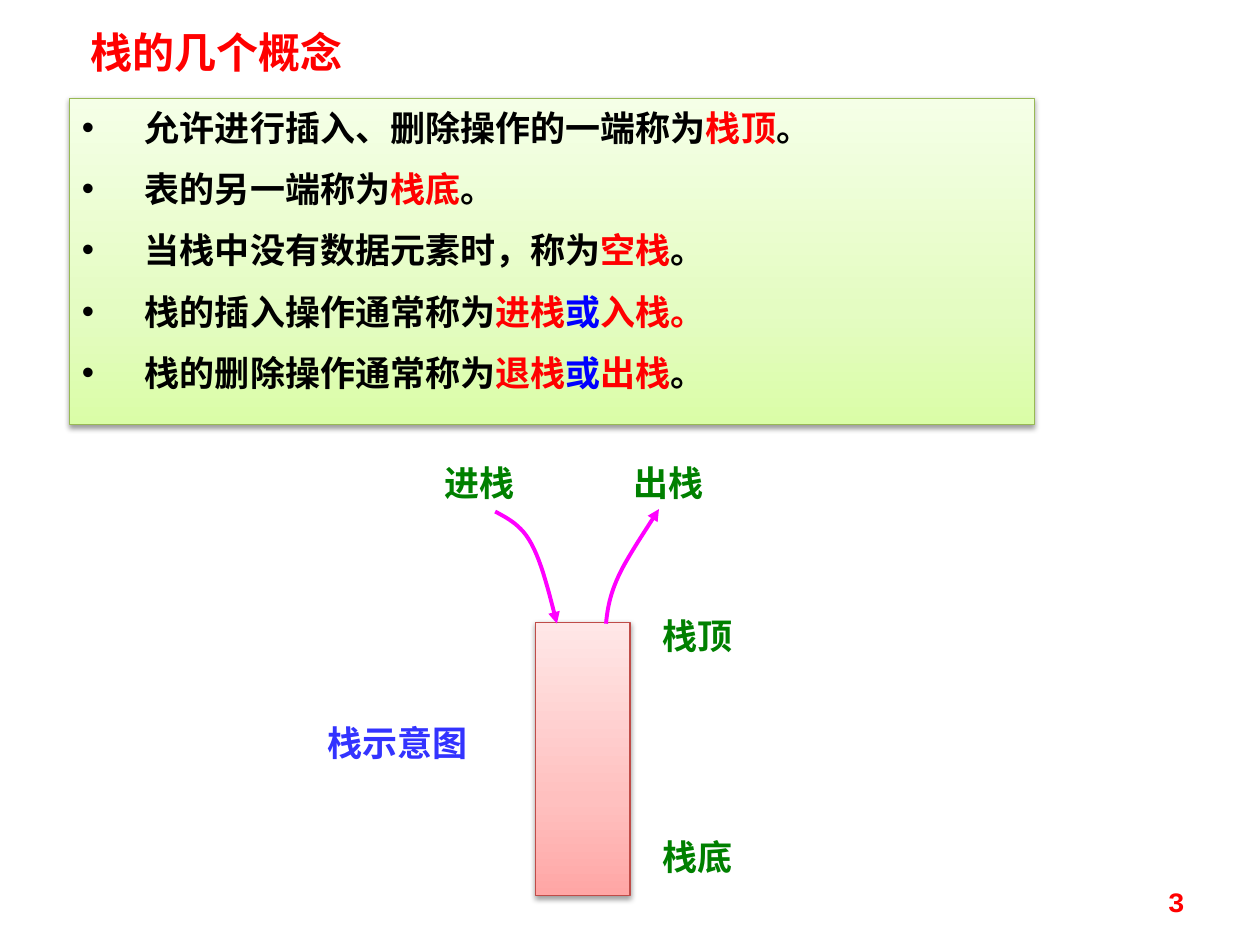
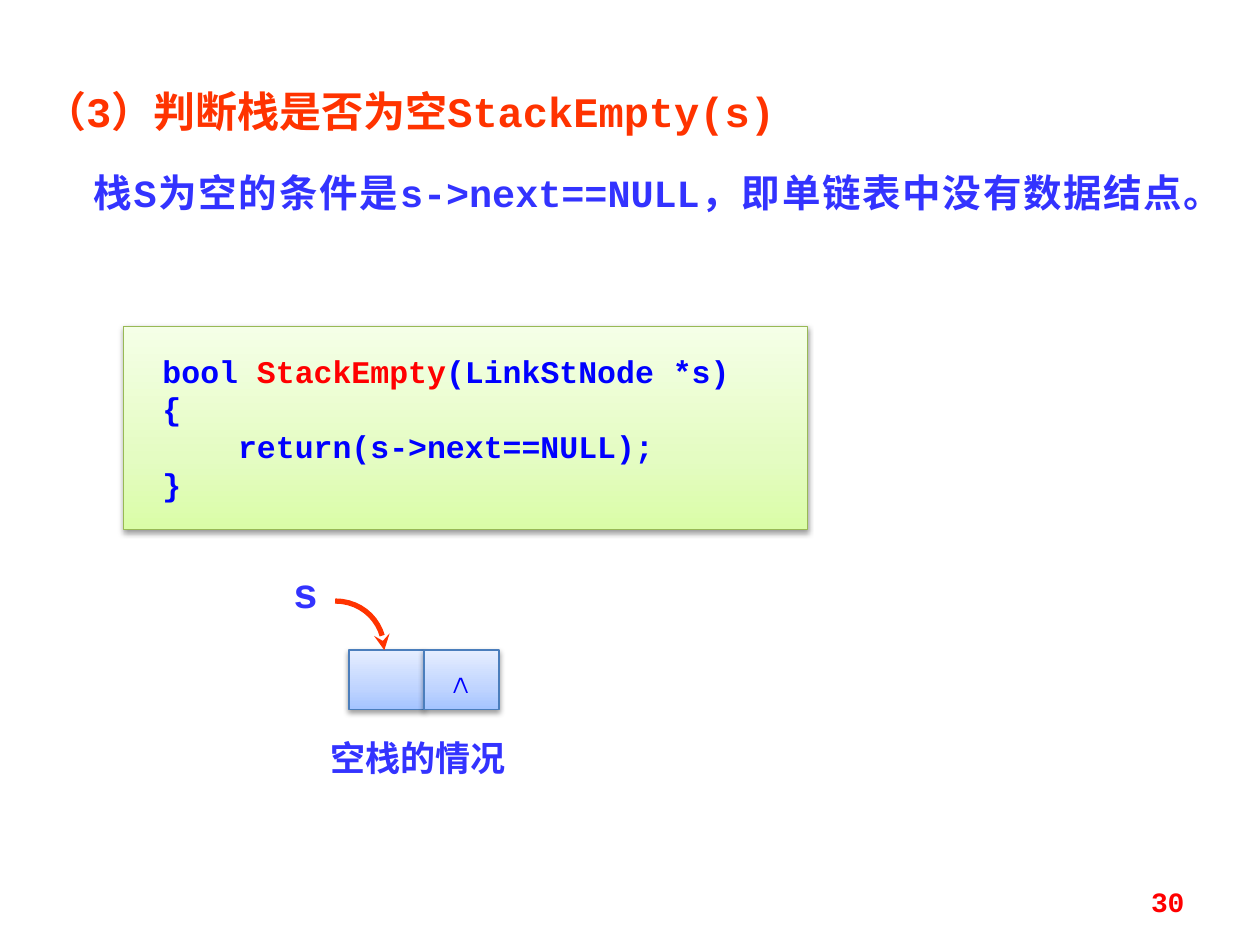
import copy
from dataclasses import dataclass
from typing import Any, NamedTuple, Optional

import lxml.etree
import pptx
import pptx.dml.color
import pptx.enum.shapes
import pptx.enum.text
import pptx.oxml.ns
import pptx.util

# The slide is a grid of 100 columns by 75 rows of square cells.
WIDE, HIGH = pptx.util.Inches(10), pptx.util.Inches(7.5)
COLS, ROWS = 100, 75

RGB = pptx.dml.color.RGBColor
BLACK = RGB(0x00, 0x00, 0x00)
RED = RGB(0xFF, 0x00, 0x00)
BLUE = RGB(0x00, 0x00, 0xFF)
GREEN = RGB(0x00, 0x80, 0x00)
INDIGO = RGB(0x33, 0x33, 0xFF)
ORANGE = RGB(0xFF, 0x33, 0x00)
PINK = RGB(0xFF, 0x00, 0xFF)

HAN, MONO, SANS = "Noto Sans CJK SC", "Courier New", "Calibri"
ALIGN = pptx.enum.text.PP_ALIGN
ANCHOR = pptx.enum.text.MSO_ANCHOR
RECT = pptx.enum.shapes.MSO_SHAPE.RECTANGLE


class Box(NamedTuple):
    """Left and width in columns, top and height in rows."""
    x: float
    y: float
    w: float
    h: float


class Theme(NamedTuple):
    """Gradient colours from bottom to top, and the outline."""
    low: RGB
    mid: RGB
    top: RGB
    edge: RGB


LIME = Theme(RGB(0xDA, 0xFD, 0xA7), RGB(0xE4, 0xFC, 0xC2),
             RGB(0xF5, 0xFF, 0xE7), RGB(0x98, 0xB9, 0x55))
ROSE = Theme(RGB(0xFF, 0xA6, 0xA5), RGB(0xFF, 0xC0, 0xBF),
             RGB(0xFF, 0xE7, 0xE7), RGB(0xBF, 0x4C, 0x48))
SKY = Theme(RGB(0xA4, 0xC4, 0xFF), RGB(0xBF, 0xD4, 0xFF),
            RGB(0xE6, 0xEE, 0xFF), RGB(0x4B, 0x7E, 0xBC))


class Run(NamedTuple):
    text: str
    color: RGB


@dataclass(frozen=True)
class Style:
    size: float
    font: str
    east: str = HAN
    align: Any = ALIGN.LEFT
    lead: Any = None
    gap: float = 0
    left: float = 0
    first: float = 0
    bullet: Optional[str] = None


@dataclass(frozen=True)
class Label:
    text: str
    box: Box
    color: RGB
    style: Style


@dataclass(frozen=True)
class Arrow:
    """Chained cubic curves: a start, then three points for each curve."""
    points: list[tuple[float, float]]
    color: RGB
    weight: float
    head: str


TITLE = Style(24, HAN)
ITEM = Style(20, SANS, lead=pptx.util.Pt(25), gap=10, left=5, first=-5, bullet="•")
NOTE = Style(20, HAN)
HEAD = Style(24, MONO, align=ALIGN.JUSTIFY, lead=1.2)
PROSE = Style(22, MONO, align=ALIGN.JUSTIFY, lead=1.2, first=3.9)
CODE = Style(18, MONO)
NAME = Style(24, MONO, align=ALIGN.CENTER)
NIL = Style(20, MONO, east=MONO, align=ALIGN.CENTER)
CAPTION = Style(20, MONO, align=ALIGN.CENTER)
PAGE = Style(16, MONO, align=ALIGN.RIGHT)


def across(cols: float) -> int:
    return round(WIDE * cols / COLS)


def down(rows: float) -> int:
    return round(HIGH * rows / ROWS)


def place(box: Box) -> tuple[int, int, int, int]:
    return across(box.x), down(box.y), across(box.w), down(box.h)


def add_tag(host: Any, tag: str, **attrs: str) -> Any:
    node = lxml.etree.SubElement(host, pptx.oxml.ns.qn(tag))
    for key, value in attrs.items():
        node.set(key, value)
    return node


def write(shape: Any, lines: list[list[Run]], style: Style, anchor: Any = ANCHOR.TOP) -> None:
    frame = shape.text_frame
    frame.auto_size = pptx.enum.text.MSO_AUTO_SIZE.NONE
    frame.word_wrap = True
    frame.vertical_anchor = anchor
    for row, runs in enumerate(lines):
        para = frame.add_paragraph() if row else frame.paragraphs[0]
        para.alignment = style.align
        para.space_before = pptx.util.Pt(style.gap if row else 0)
        if style.lead:
            para.line_spacing = style.lead
        props = para._p.get_or_add_pPr()
        props.set("marL", str(across(style.left)))
        props.set("indent", str(across(style.first)))
        if style.bullet:
            add_tag(props, "a:buChar", char=style.bullet)
        else:
            add_tag(props, "a:buNone")
        for text, color in runs:
            run = para.add_run()
            run.text = text
            run.font.size = pptx.util.Pt(style.size)
            run.font.bold = True
            run.font.color.rgb = color
            run.font.name = style.font
            add_tag(run._r.rPr, "a:ea", typeface=style.east)


def fill_holder(shape: Any, box: Box, lines: list[list[Run]], style: Style) -> None:
    shape.left, shape.top, shape.width, shape.height = place(box)
    write(shape, lines, style)


def paint(shape: Any, theme: Theme) -> None:
    """Give a shape the theme's gradient, thin outline and soft shadow."""
    shape.fill.gradient()
    shape.fill.gradient_angle = 90
    stops = shape._element.spPr.find(".//" + pptx.oxml.ns.qn("a:gsLst"))
    stops.insert(1, copy.deepcopy(stops[0]))
    colors = (theme.low, theme.mid, theme.top)
    for stop, color, spot in zip(shape.fill.gradient_stops, colors, (0, 0.35, 1)):
        stop.color.rgb = color
        stop.position = spot
    shape.line.color.rgb = theme.edge
    shape.line.width = pptx.util.Pt(0.75)
    shape.shadow.inherit = False
    effects = shape._element.spPr.find(pptx.oxml.ns.qn("a:effectLst"))
    shade = add_tag(effects, "a:outerShdw", blurRad="40000", dist="20000",
                    dir="5400000", rotWithShape="0")
    add_tag(add_tag(shade, "a:srgbClr", val="000000"), "a:alpha", val="38000")


def add_block(slide: Any, box: Box, theme: Theme) -> Any:
    shape = slide.shapes.add_shape(RECT, *place(box))
    paint(shape, theme)
    return shape


def add_label(slide: Any, label: Label, anchor: Any = ANCHOR.TOP) -> None:
    shape = slide.shapes.add_textbox(*place(label.box))
    write(shape, [[Run(label.text, label.color)]], label.style, anchor)


def add_page(slide: Any, number: int) -> None:
    label = Label(str(number), Box(71.7, 69.5, 23.3, 4), RED, PAGE)
    add_label(slide, label, ANCHOR.MIDDLE)


def trace(points: list[tuple[float, float]], steps: int = 12) -> list[tuple[int, int]]:
    """Return close points along the chained cubic curves."""
    spots = [points[0]]
    for at in range(0, len(points) - 1, 3):
        curve = points[at:at + 4]
        for step in range(1, steps + 1):
            t = step / steps
            parts = ((1 - t) ** 3, 3 * t * (1 - t) ** 2, 3 * t * t * (1 - t), t ** 3)
            spots.append(tuple(sum(p * c[axis] for p, c in zip(parts, curve))
                               for axis in (0, 1)))
    return [(across(x), down(y)) for x, y in spots]


def add_arrow(slide: Any, arrow: Arrow) -> None:
    start, *rest = trace(arrow.points)
    pen = slide.shapes.build_freeform(*start)
    pen.add_line_segments(rest, close=False)
    shape = pen.convert_to_shape()
    shape.fill.background()
    shape.shadow.inherit = False
    shape.line.color.rgb = arrow.color
    shape.line.width = pptx.util.Pt(arrow.weight)
    add_tag(shape.line._get_or_add_ln(), "a:tailEnd", type=arrow.head)


def start_slide(deck: Any, number: int) -> Any:
    slide = deck.slides.add_slide(deck.slide_layouts[1])
    add_page(slide, number)
    return slide


def draw_terms(deck: Any) -> None:
    slide = start_slide(deck, 3)
    title, body = slide.placeholders
    fill_holder(title, Box(6.2, 1.6, 24.2, 5), [[Run("栈的几个概念", RED)]], TITLE)
    stop = Run("。", BLACK)
    either = Run("或", BLUE)
    items = [
        [Run("允许进行插入、删除操作的一端称为", BLACK), Run("栈顶", RED), stop],
        [Run("表的另一端称为", BLACK), Run("栈底", RED), stop],
        [Run("当栈中没有数据元素时，称为", BLACK), Run("空栈", RED), stop],
        [Run("栈的插入操作通常称为", BLACK), Run("进栈", RED), either, Run("入栈。", RED)],
        [Run("栈的删除操作通常称为", BLACK), Run("退栈", RED), either, Run("出栈", RED), stop],
    ]
    fill_holder(body, Box(5.5, 7.8, 76.6, 25.9), items, ITEM)
    paint(body, LIME)
    add_block(slide, Box(42.5, 49.4, 7.5, 21.7), ROSE)
    labels = [
        Label("栈顶", Box(51.6, 48.3, 10.1, 4.4), GREEN, NOTE),
        Label("栈底", Box(51.6, 65.8, 10.1, 4.4), GREEN, NOTE),
        Label("栈示意图", Box(25, 56.8, 14.8, 4.4), INDIGO, NOTE),
        Label("进栈", Box(34.3, 36.1, 12.5, 4.4), GREEN, NOTE),
        Label("出栈", Box(49.3, 36.1, 12.5, 4.4), GREEN, NOTE),
    ]
    for label in labels:
        add_label(slide, label)
    push = [(39.3, 40.6), (40.4, 41.2), (41.4, 41.7), (42.2, 43.2),
            (43, 44.7), (43.6, 47.1), (44.2, 49.5)]
    pull = [(48.1, 49.5), (48.2, 48.4), (48.4, 47.2), (49.1, 45.7),
            (49.8, 44.2), (51.1, 42.3), (52.3, 40.4)]
    for points in (push, pull):
        add_arrow(slide, Arrow(points, PINK, 2.25, "triangle"))


def draw_empty(deck: Any) -> None:
    slide = start_slide(deck, 30)
    title, body = slide.placeholders
    fill_holder(title, Box(2.5, 5.5, 92.5, 6),
                [[Run("（3）判断栈是否为空StackEmpty(s)", ORANGE)]], HEAD)
    fill_holder(body, Box(2.5, 12.2, 92.5, 10),
                [[Run("栈S为空的条件是s->next==NULL，即单链表中没有数据结点。", INDIGO)]], PROSE)
    code = add_block(slide, Box(9.8, 25.9, 54.3, 16.1), LIME)
    frame = code.text_frame
    frame.margin_left = frame.margin_right = across(3.1)
    frame.margin_top = frame.margin_bottom = down(2)
    write(code, [
        [Run("bool ", BLUE), Run("StackEmpty", RED), Run("(LinkStNode *s)", BLUE)],
        [Run("{", BLUE)],
        [Run("    return(s->next==NULL);", BLUE)],
        [Run("}", BLUE)],
    ], CODE)
    cell = Box(27.7, 51.6, 5.95, 4.7)
    add_block(slide, cell, SKY)
    link = add_block(slide, cell._replace(x=cell.x + cell.w), SKY)
    write(link, [[Run("∧", BLUE)]], NIL, ANCHOR.MIDDLE)
    link.text_frame.word_wrap = False
    add_arrow(slide, Arrow([(26.6, 47.7), (28.8, 47.7), (30.5, 49.4), (30.5, 51.6)],
                           ORANGE, 3, "stealth"))
    add_label(slide, Label("s", Box(21.9, 44.5, 4.7, 5), INDIGO, NAME))
    add_label(slide, Label("空栈的情况", Box(24.2, 58, 18, 4.4), INDIGO, CAPTION))


def main() -> None:
    deck = pptx.Presentation()
    deck.slide_width, deck.slide_height = WIDE, HIGH
    draw_terms(deck)
    draw_empty(deck)
    deck.save("out.pptx")


if __name__ == "__main__":
    main()
